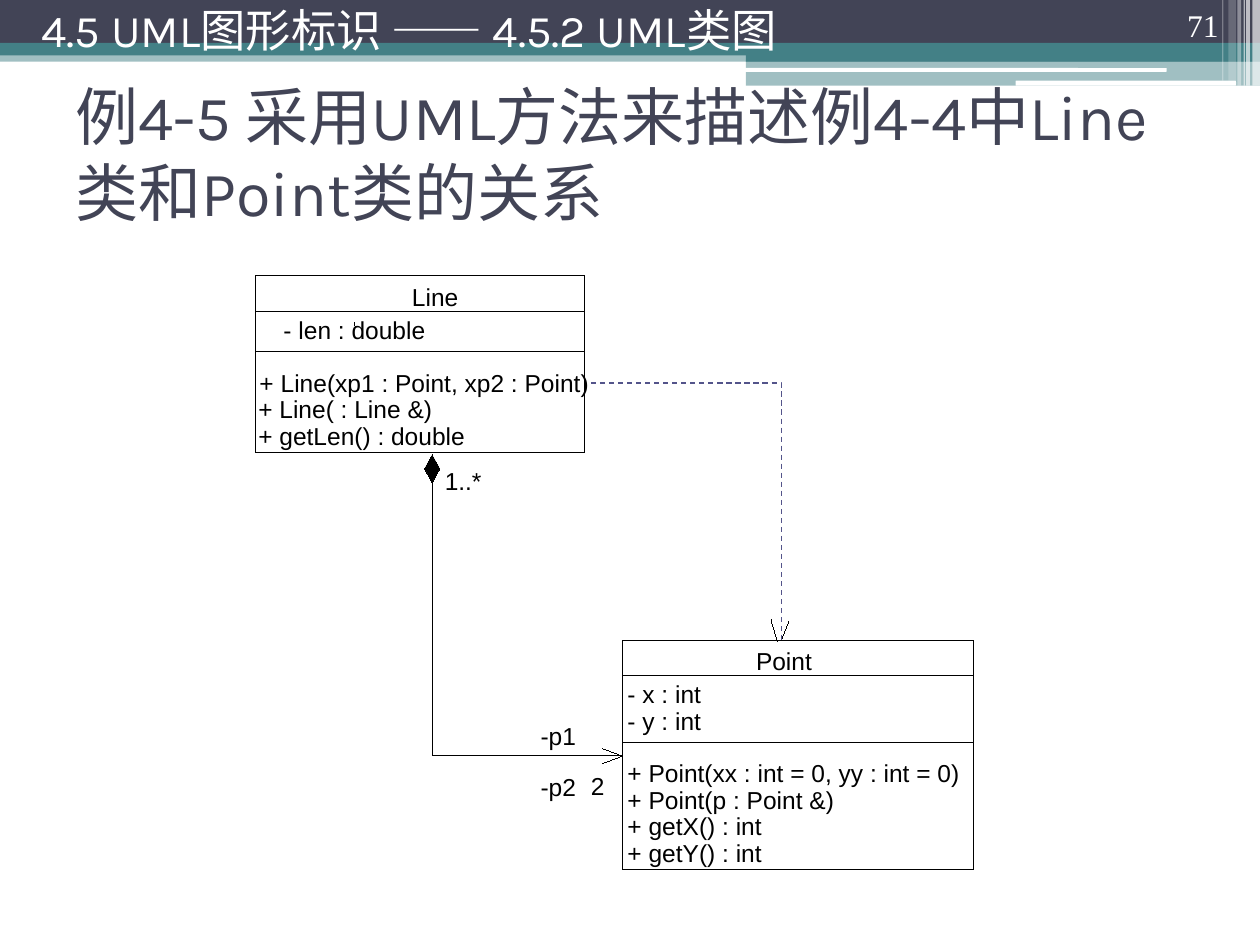
from lxml.etree import SubElement
from pptx import Presentation
from pptx.dml.color import RGBColor
from pptx.enum.dml import MSO_LINE
from pptx.enum.shapes import MSO_CONNECTOR, MSO_SHAPE
from pptx.enum.text import MSO_ANCHOR, MSO_AUTO_SIZE, PP_ALIGN
from pptx.oxml.ns import qn
from pptx.util import Inches, Pt

# The slide is a grid of 1000 columns by 750 rows of square cells.
CELL = Inches(0.01)
COLUMNS, ROWS = 1000, 750
LINE_PITCH = 21
LABEL_SLACK = 10  # spare columns that keep each label on one line
HAIRLINE = Pt(0.01)

NAVY = RGBColor(0x42, 0x44, 0x56)
TEAL = RGBColor(0x43, 0x80, 0x86)
VIOLET = RGBColor(0x53, 0x54, 0x8A)
WHITE = RGBColor(0xFF, 0xFF, 0xFF)
BLACK = RGBColor(0x00, 0x00, 0x00)

presentation = Presentation()
presentation.slide_width = COLUMNS * CELL
presentation.slide_height = ROWS * CELL
slide = presentation.slides.add_slide(presentation.slide_layouts[6])
shapes = slide.shapes


def add_box(kind, left, top, width, height, fill=None, opacity=100):
    """Add a filled band, or a hairline frame when there is no fill."""
    shape = shapes.add_shape(kind, left * CELL, top * CELL, width * CELL, height * CELL)
    shape.shadow.inherit = False
    if fill is None:
        shape.fill.background()
        shape.line.color.rgb = BLACK
        shape.line.width = HAIRLINE
        return
    shape.fill.solid()
    shape.fill.fore_color.rgb = fill
    shape.line.fill.background()
    if opacity < 100:
        color = shape._element.spPr.find(qn("a:solidFill"))[0]
        SubElement(color, qn("a:alpha")).set("val", str(opacity * 1000))


def add_text(text, left, top, width, height, size=14, font="Arial", color=BLACK,
             anchor=None, align=None):
    """Add a label without margins, or a heading when an anchor is given."""
    box = shapes.add_textbox(left * CELL, top * CELL, width * CELL, height * CELL)
    frame = box.text_frame
    frame.word_wrap = True
    if anchor is None:
        frame.margin_left = frame.margin_right = frame.margin_top = frame.margin_bottom = 0
        frame.auto_size = MSO_AUTO_SIZE.SHAPE_TO_FIT_TEXT
    else:
        frame.vertical_anchor = anchor
    paragraph = frame.paragraphs[0]
    if align is not None:
        paragraph.alignment = align
    run = paragraph.add_run()
    run.text = text
    run.font.size = Pt(size)
    run.font.name = font
    run.font.color.rgb = color


# Header bands
for left, top, height, fill, opacity in [
    (0, 40, 9, TEAL, 50),
    (0, 0, 34, NAVY, 100),
    (0, 34, 10, TEAL, 100),
    (592, 39, 10, TEAL, 100),
    (592, 48, 20, TEAL, 50),
]:
    add_box(MSO_SHAPE.RECTANGLE, left, top, COLUMNS - left, height, fill, opacity)
for left, top, width, height in [(591, 54, 335, 3), (806, 64, 175, 4)]:
    add_box(MSO_SHAPE.ROUNDED_RECTANGLE, left, top, width, height, WHITE)

# Vertical stripes at the right edge
for left, width, height, opacity in [
    (994, 6, 68, 65),
    (989, 3, 68, 65),
    (987, 1, 68, 60),
    (982, 3, 68, 40),
    (975, 6, 64, 20),
    (970, 1, 64, 30),
]:
    add_box(MSO_SHAPE.RECTANGLE, left, 0, width, height, WHITE, opacity)

# Headings
add_text("例4-5 采用UML方法来描述例4-4中Line类和Point类的关系", 50, 63, 900, 117,
         36, "Karla", NAVY, MSO_ANCHOR.MIDDLE)
add_text("71", 894, 0, 83, 40, 18, "Times New Roman", WHITE, MSO_ANCHOR.BOTTOM, PP_ALIGN.RIGHT)
add_text("4.5 UML图形标识 —— 4.5.2 UML类图", 23, 0, 711, 47,
         25.9, "Karla", WHITE, MSO_ANCHOR.MIDDLE)

# Class boxes: nested frames share one bottom edge
for left, width, bottom, tops in [
    (494, 279, 690, (508, 536, 589)),
    (203, 261, 359, (219, 247, 279)),
]:
    for top in tops:
        add_box(MSO_SHAPE.RECTANGLE, left, top, width, bottom - top)

# Class names, members and association labels, each block on an even line pitch
for left, top, width, lines in [
    (600, 513, 45, ["Point"]),
    (498, 539, 59, ["- x : int", "- y : int"]),
    (498, 602, 265, ["+ Point(xx : int = 0, yy : int = 0)", "+ Point(p : Point &)",
                     "+ getX() : int", "+ getY() : int"]),
    (327, 224, 37, ["Line"]),
    (225, 250, 113, ["- len : double"]),
    (206, 292, 263, ["+ Line(xp1 : Point, xp2 : Point)"]),
    (205, 313, 170, ["+ Line( : Line &)", "+ getLen() : double"]),
    (429, 572, 28, ["-p1"]),
    (429, 613, 28, ["-p2"]),
    (469, 612, 11, ["2"]),
    (353, 370, 29, ["1..*"]),
]:
    for row, line in enumerate(lines):
        add_text(line, left, top + row * LINE_PITCH, width + LABEL_SLACK, 24)

# Composition: black diamond at Line, path to Point
for points, closed in [
    ([(343, 361), (349, 372), (343, 383), (337, 372)], True),
    ([(343, 556), (343, 600), (494, 600)], False),
]:
    builder = shapes.build_freeform(*points[0], scale=CELL)
    builder.add_line_segments(points[1:], close=closed)
    outline = builder.convert_to_shape()
    outline.shadow.inherit = False
    outline.line.color.rgb = BLACK
    outline.line.width = HAIRLINE
    if closed:
        outline.fill.solid()
        outline.fill.fore_color.rgb = BLACK
    else:
        outline.fill.background()

# Composition stem, open arrowheads, tick in Line, and the dashed dependency
for kind, start, end, color, weight in [
    (MSO_CONNECTOR.STRAIGHT, (343, 556), (343, 361), BLACK, HAIRLINE),
    (MSO_CONNECTOR.STRAIGHT, (494, 600), (478, 606), BLACK, HAIRLINE),
    (MSO_CONNECTOR.STRAIGHT, (494, 600), (478, 594), BLACK, HAIRLINE),
    (MSO_CONNECTOR.STRAIGHT, (620, 508), (626, 493), BLACK, HAIRLINE),
    (MSO_CONNECTOR.STRAIGHT, (282, 259), (281, 256), BLACK, HAIRLINE),
    (MSO_CONNECTOR.STRAIGHT, (617, 509), (612, 492), BLACK, HAIRLINE),
    (MSO_CONNECTOR.ELBOW, (469, 304), (620, 509), VIOLET, Pt(0.75)),
]:
    connector = shapes.add_connector(kind, *(value * CELL for value in start + end))
    connector.line.color.rgb = color
    connector.line.width = weight
    properties = connector._element.spPr
    if kind == MSO_CONNECTOR.ELBOW:
        connector.line.dash_style = MSO_LINE.DASH
        properties.find(qn("a:prstGeom")).set("prst", "bentConnector2")
    SubElement(properties, qn("a:effectLst"))

presentation.save("out.pptx")
